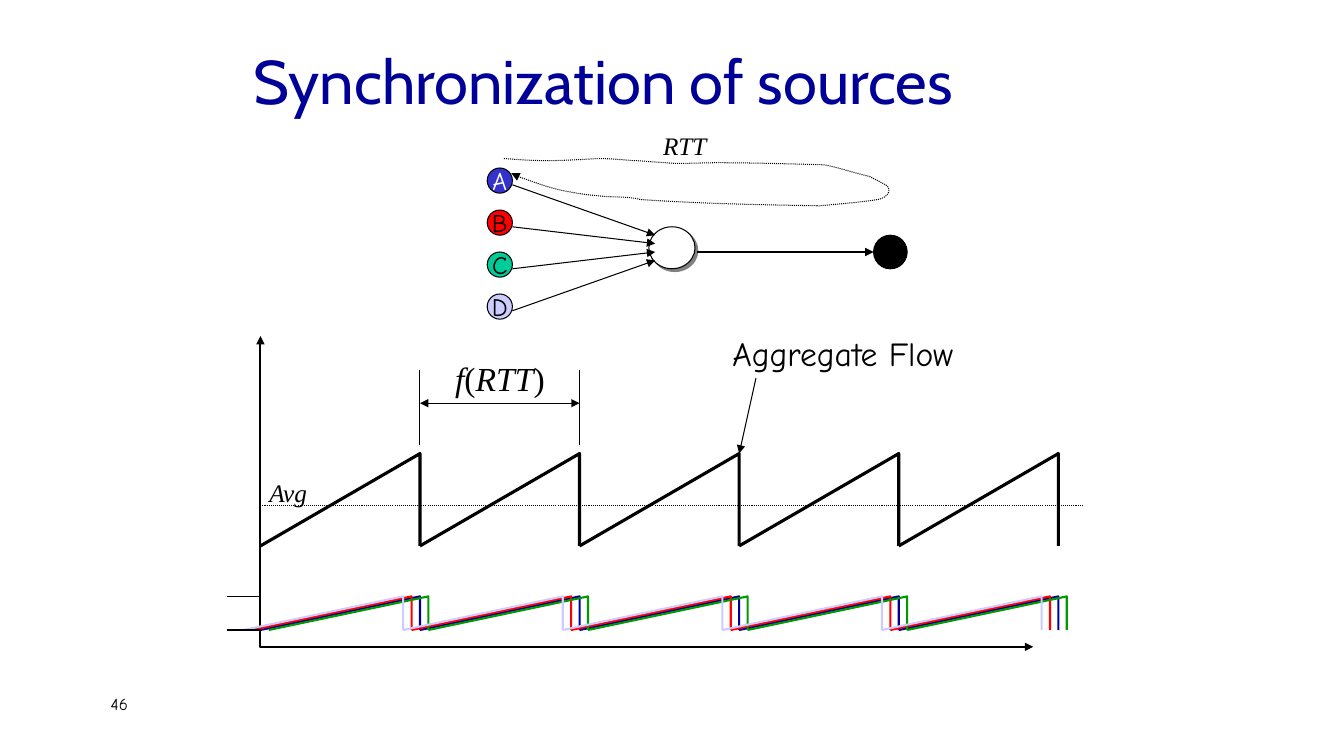
from lxml.etree import SubElement
from pptx import Presentation
from pptx.dml.color import RGBColor
from pptx.enum.dml import MSO_LINE
from pptx.enum.shapes import MSO_CONNECTOR, MSO_SHAPE
from pptx.enum.text import MSO_ANCHOR, MSO_AUTO_SIZE, PP_ALIGN
from pptx.oxml.ns import qn
from pptx.util import Pt

PX = 9525  # 96 px to the inch
BLACK, NAVY, WHITE = "000000", "000099", "FFFFFF"
SANS, COMIC, SERIF = "Cabin", "Comic Neue", "Times New Roman"

# Content
TITLE = "Synchronization of sources"
LABELS = [  # runs of (text, italic), box, size, font
    ([("Aggregate Flow", False)], (688, 312, 252, 48), 24, COMIC),
    ([("f", True), ("(", False), ("RTT", True), (")", False)], (424, 336, 120, 48), 24, SERIF),
    ([("RTT", True)], (622, 119, 72, 38), 18, SERIF),
    ([("Avg", True)], (247, 450, 64, 38), 18, SERIF),
]
SOURCES = [("A", "3333CC", WHITE), ("B", "FF0000", BLACK),
           ("C", "00CC99", BLACK), ("D", "CCCCFF", BLACK)]
FLOWS = [(NAVY, 0), ("FF0000", -8), ("009900", 8), ("CCCCFF", -16)]  # colour, shift
AXES = [(248, 320), (248, 616), (984, 616)]
ROUND_TRIP = [  # start, then three points for each curve
    (480, 151),
    (496, 152), (501, 153), (523, 153), (539, 153), (569, 151), (569, 151),
    (581, 151), (591, 152), (603, 153), (609, 153), (619, 154), (619, 154),
    (652, 156), (632, 156), (680, 155), (715, 155), (750, 156), (785, 157),
    (801, 160), (814, 165), (828, 168), (834, 171), (840, 174), (845, 177),
    (850, 183), (843, 189), (836, 190), (818, 193), (800, 194), (781, 196),
    (722, 195), (668, 194), (610, 190), (599, 187), (586, 188), (575, 187),
    (564, 186), (554, 185), (544, 183), (525, 180), (508, 173), (490, 167),
    (489, 167), (487, 165), (487, 165),
]
ORIGIN, PERIOD, CYCLES = 248, 152, 5
AGGREGATE_LOW, AGGREGATE_HIGH, AVERAGE = 520, 432, 481
FLOW_LOW, FLOW_HIGH = 600, 568

presentation = Presentation()
presentation.slide_width, presentation.slide_height = 1280 * PX, 720 * PX
slide = presentation.slides.add_slide(presentation.slide_layouts[5])
shapes = slide.shapes


def color(text):
    return RGBColor.from_string(text)


def emu(*lengths):
    return [length * PX for length in lengths]


def style_line(shape, line_color=BLACK, width=0.75, dotted=False, head=False, tail=False):
    line = shape.line
    line.color.rgb = color(line_color)
    line.width = Pt(width)
    if dotted:
        line.dash_style = MSO_LINE.ROUND_DOT
    for tag, wanted in (("a:headEnd", head), ("a:tailEnd", tail)):
        if wanted:
            SubElement(line._get_or_add_ln(), qn(tag), type="triangle")


def add_line(x1, y1, x2, y2, **style):
    connector = shapes.add_connector(MSO_CONNECTOR.STRAIGHT, *emu(x1, y1, x2, y2))
    style_line(connector, **style)
    SubElement(connector._element.spPr, qn("a:effectLst"))


def add_outline(parent, points, **style):
    builder = parent.build_freeform(*points[0], scale=PX)
    builder.add_line_segments(points[1:], close=False)
    shape = builder.convert_to_shape()
    shape.shadow.inherit = False
    shape.fill.background()
    style_line(shape, **style)
    return shape


def add_circle(x, y, width, height, fill):
    circle = shapes.add_shape(MSO_SHAPE.OVAL, *emu(x, y, width, height))
    circle.shadow.inherit = False
    circle.fill.solid()
    circle.fill.fore_color.rgb = color(fill)
    style_line(circle)
    return circle


def style_font(font, name, size, font_color=BLACK):
    font.name, font.size = name, Pt(size)
    font.color.rgb = color(font_color)


def add_label(runs, box, size, font_name, grow=True):
    label = shapes.add_textbox(*emu(*box))
    frame = label.text_frame
    frame.word_wrap = not grow
    if grow:
        frame.auto_size = MSO_AUTO_SIZE.SHAPE_TO_FIT_TEXT
    paragraph = frame.paragraphs[0]
    style_font(paragraph.font, font_name, size)
    for text, italic in runs:
        run = paragraph.add_run()
        run.text = text
        run.font.italic = italic


def add_sawtooth(start, low, high, line_color, width):
    group = shapes.add_group_shape()
    for cycle in range(CYCLES):
        left = start + cycle * PERIOD
        right = left + PERIOD
        add_outline(group.shapes, [(left, low), (right, high), (right, low)],
                    line_color=line_color, width=width)


# Title and slide number
title = shapes.title
title.left, title.top, title.width, title.height = emu(232, 16, 816, 120)
title.text_frame.text = TITLE
title.text_frame.vertical_anchor = MSO_ANCHOR.MIDDLE
heading = title.text_frame.paragraphs[0]
heading.alignment = PP_ALIGN.LEFT
style_font(heading.font, SANS, 44, NAVY)
add_label([("46", False)], (96, 656, 267, 48), 12, COMIC, grow=False)

# Axes, period marks and labels
add_outline(shapes, AXES, width=1.5, head=True, tail=True)
period_start, period_end = ORIGIN + PERIOD, ORIGIN + 2 * PERIOD
for x in (period_start, period_end):
    add_line(x, 352, x, 424)
add_line(period_start, 384, period_end, 384, head=True, tail=True)
add_line(720, 360, 704, AGGREGATE_HIGH, tail=True)
for label in LABELS:
    add_label(*label)

# Network: sources, router and sink
for row, (name, fill, text_color) in enumerate(SOURCES):
    circle = add_circle(464, 160 + 40 * row, 24, 24, fill)
    frame = circle.text_frame
    frame.word_wrap = False
    frame.vertical_anchor = MSO_ANCHOR.MIDDLE
    frame.text = name
    frame.paragraphs[0].alignment = PP_ALIGN.CENTER
    style_font(frame.paragraphs[0].font, COMIC, 18, text_color)

router = add_circle(618, 216, 44, 40, WHITE)
effects = router._element.spPr.find(qn("a:effectLst"))
shadow = SubElement(effects, qn("a:outerShdw"), dist="35921", dir="2700000",
                    algn="ctr", rotWithShape="0")
SubElement(shadow, qn("a:srgbClr"), val="808080")

for row in range(len(SOURCES)):
    add_line(488, 176 + 40 * row, 624, 224 + 8 * row, tail=True)
add_line(664, 240, 832, 240, tail=True)
add_circle(832, 224, 32, 32, BLACK)

# Round trip: every three points become one curve
round_trip = add_outline(shapes, ROUND_TRIP, dotted=True, tail=True)
outline = round_trip._element.xpath(".//a:path")[0]
segments = outline.findall(qn("a:lnTo"))
for first in range(0, len(segments), 3):
    curve = SubElement(outline, qn("a:cubicBezTo"))
    for segment in segments[first:first + 3]:
        curve.append(segment[0])
        outline.remove(segment)

# Flows, aggregate and level marks
for flow_color, shift in FLOWS:
    add_sawtooth(ORIGIN + shift, FLOW_LOW, FLOW_HIGH, flow_color, 1.5)
add_sawtooth(ORIGIN, AGGREGATE_LOW, AGGREGATE_HIGH, BLACK, 2.25)
for level in (FLOW_LOW, FLOW_HIGH):
    add_line(216, level, ORIGIN, level)
add_line(ORIGIN, AVERAGE, 1032, AVERAGE, dotted=True)

presentation.save("out.pptx")
